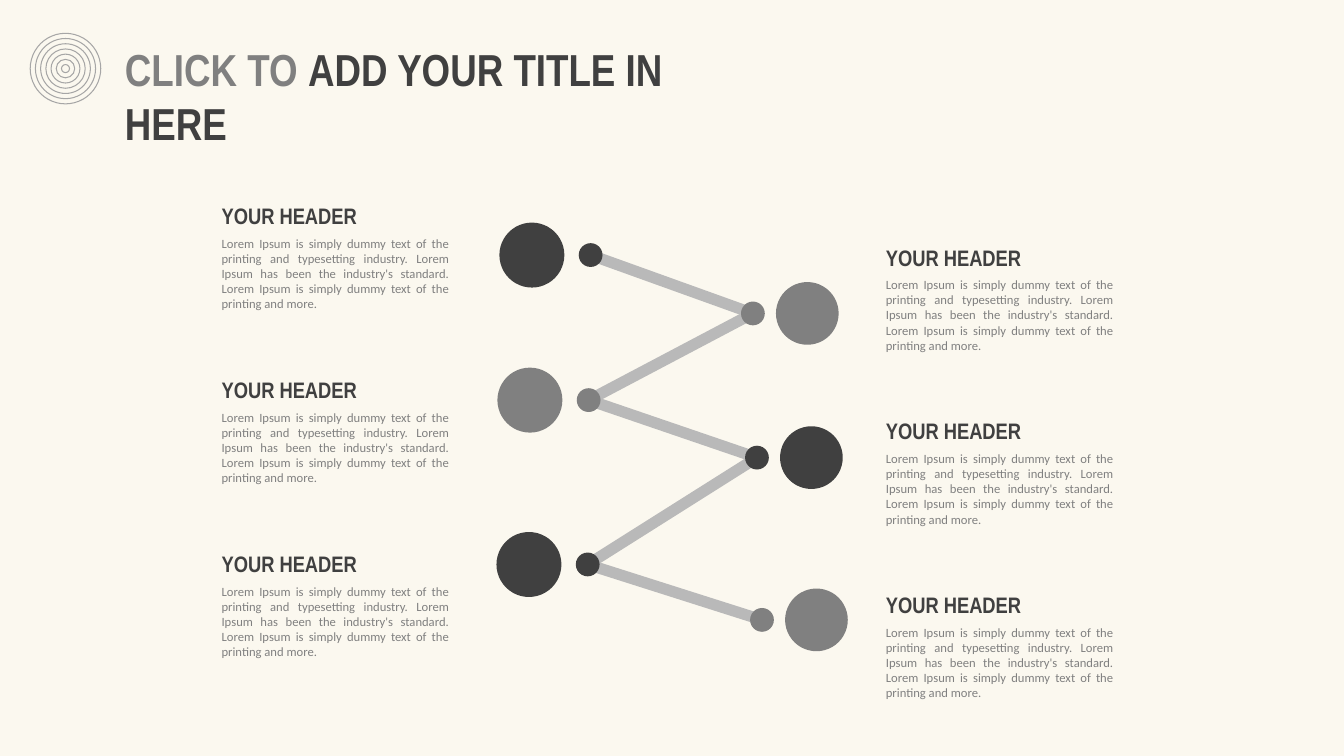
from dataclasses import dataclass
from itertools import pairwise

from pptx import Presentation
from pptx.dml.color import RGBColor
from pptx.enum.shapes import MSO_CONNECTOR, MSO_SHAPE
from pptx.enum.text import MSO_ANCHOR, MSO_AUTO_SIZE, PP_ALIGN
from pptx.oxml.ns import qn
from pptx.util import Pt
from lxml.etree import SubElement


@dataclass(frozen=True)
class Theme:
    page: str = "FBF8EF"
    dark: str = "404040"
    grey: str = "808080"
    ring: str = "A6A6A6"
    link: str = "B9B9B9"
    head: str = "Arial Narrow"
    body: str = "Calibri"
    title: int = 32
    label: int = 16
    text: int = 9


@dataclass(frozen=True)
class Box:
    x: float
    y: float
    w: float
    h: float

    def spread(self):
        return [Pt(v) for v in (self.x, self.y, self.w, self.h)]


THEME = Theme()
HEAD = "YOUR HEADER"
BODY = ("Lorem Ipsum is simply dummy text of the printing and typesetting "
        "industry. Lorem Ipsum has been the industry's standard. Lorem Ipsum "
        "is simply dummy text of the printing and more.")


def tint(code):
    return RGBColor.from_string(code)


def write(frame, runs, size, font, bold=False, align=PP_ALIGN.LEFT):
    frame.word_wrap = True
    frame.auto_size = MSO_AUTO_SIZE.SHAPE_TO_FIT_TEXT
    frame.vertical_anchor = MSO_ANCHOR.TOP
    para = frame.paragraphs[0]
    para.alignment = align
    for words, color in runs:
        run = para.add_run()
        run.text = words
        run.font.name = font
        run.font.size = Pt(size)
        run.font.bold = bold
        run.font.color.rgb = tint(color)


def disc(slide, x, y, size, color, line=None):
    """Draw a circle centred on x, y."""
    box = Box(x - size / 2, y - size / 2, size, size)
    shape = slide.shapes.add_shape(MSO_SHAPE.OVAL, *box.spread())
    shape.shadow.inherit = False
    shape.fill.solid()
    shape.fill.fore_color.rgb = tint(color)
    if line:
        shape.line.color.rgb = tint(line)
        shape.line.width = Pt(0)
    else:
        shape.line.fill.background()


def link(slide, start, end):
    ends = [Pt(v) for v in (*start, *end)]
    line = slide.shapes.add_connector(MSO_CONNECTOR.STRAIGHT, *ends)
    line.line.color.rgb = tint(THEME.link)
    line.line.width = Pt(8)
    SubElement(line._element.spPr, qn("a:effectLst"))


def rings(slide, box):
    """Concentric circles, from the outside in."""
    count, step = 7, 7.44
    for i in range(count):
        disc(slide, box.x + box.w / 2, box.y + box.h / 2,
             box.w - i * step, THEME.page, THEME.ring)


def title(slide, box):
    shape = slide.shapes.title
    shape.left, shape.top, shape.width, shape.height = box.spread()
    runs = [("CLICK TO ", THEME.grey), ("ADD YOUR TITLE IN HERE", THEME.dark)]
    write(shape.text_frame, runs, THEME.title, THEME.head, True)


def zigzag(slide, box):
    """Six joined dots, each with a large disc on its outer side."""
    dots = [(67.9, 24.2, THEME.dark), (183.8, 65.9, THEME.grey),
            (66.5, 127.8, THEME.grey), (186.7, 168.9, THEME.dark),
            (65.8, 245.2, THEME.dark), (190.3, 284.8, THEME.grey)]
    spots = [(box.x + x, box.y + y) for x, y, _ in dots]

    # Links lie beneath the dots
    for start, end in pairwise(spots):
        link(slide, start, end)

    # Left and right discs take turns
    for i, ((x, y), dot) in enumerate(zip(spots, dots)):
        shift, size = ((-42, 46.4), (38.9, 44.8))[i % 2]
        disc(slide, x, y, 17, dot[2])
        disc(slide, x + shift, y, size, dot[2])


def column(slide, box):
    """Three header and text pairs at an even pitch."""
    pitch = 124.2
    for i in range(3):
        y = box.y + i * pitch
        label = slide.shapes.add_textbox(*Box(box.x, y, 171.4, 26.6).spread())
        write(label.text_frame, [(HEAD, THEME.dark)],
              THEME.label, THEME.head, True)
        note = slide.shapes.add_textbox(
            *Box(box.x, y + 23.8, box.w, 62).spread())
        write(note.text_frame, [(BODY, THEME.grey)],
              THEME.text, THEME.body, align=PP_ALIGN.JUSTIFY)


def main():
    deck = Presentation()
    deck.slide_width, deck.slide_height = Pt(960), Pt(540)
    slide = deck.slides.add_slide(deck.slide_layouts[5])
    slide.background.fill.solid()
    slide.background.fill.fore_color.rgb = tint(THEME.page)

    # Heading
    rings(slide, Box(21.6, 23.8, 50.4, 50.4))
    title(slide, Box(82, 26, 401, 46))

    # Diagram and its notes
    zigzag(slide, Box(354, 158, 252, 308))
    column(slide, Box(151.2, 141, 176.4, 334))
    column(slide, Box(625.7, 170.5, 176.4, 334))
    deck.save("out.pptx")


if __name__ == "__main__":
    main()
